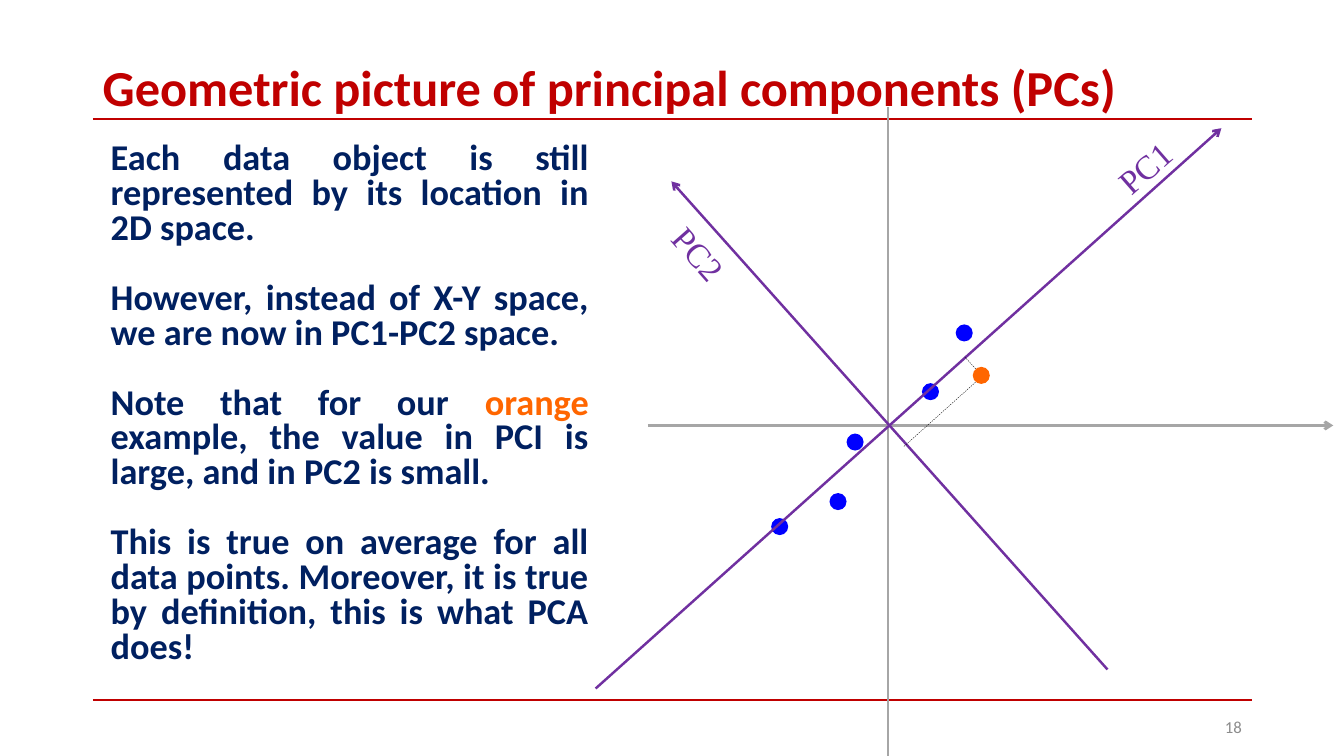
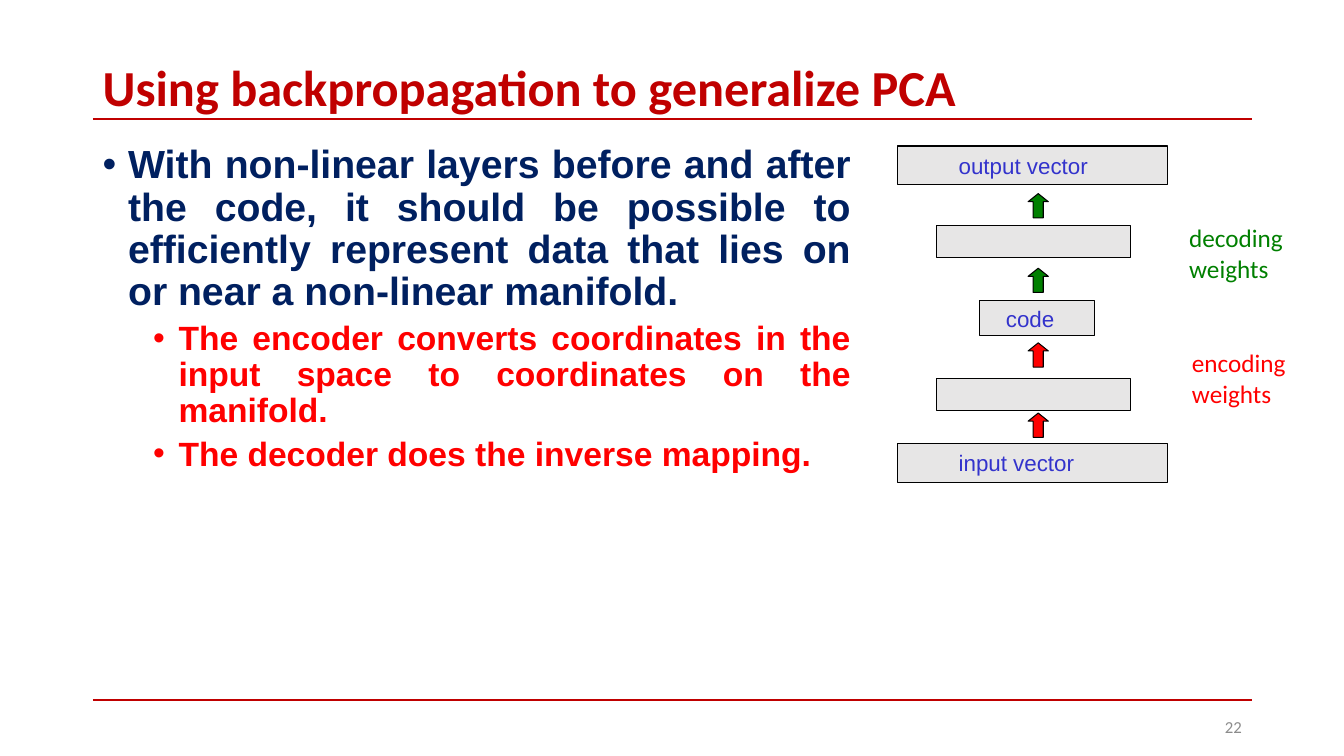
import pptx
import pptx.dml.color
import pptx.enum.dml
import pptx.enum.shapes
import pptx.enum.text
import pptx.oxml.ns
import pptx.util
from lxml import etree

Cm = pptx.util.Cm
Pt = pptx.util.Pt
Align = pptx.enum.text.PP_ALIGN
Anchor = pptx.enum.text.MSO_ANCHOR
Shape = pptx.enum.shapes.MSO_SHAPE
qn = pptx.oxml.ns.qn

RED, NAVY, ORANGE, PURPLE = "C00000", "002060", "FF6600", "7030A0"
GREY, BLUE, BLACK, LAYER_FILL = "A6A6A6", "0000FF", "000000", "E7E6E6"
LABEL, ENCODING, DECODING, NUMBER = "3333CC", "FF0000", "008000", "8C8C8C"
LEFT, RIGHT = 2.34, 31.55
DOT_SIZE = 0.43


def rgb(value):
    return pptx.dml.color.RGBColor.from_string(value)


def add_line(page, start, end, color, width, arrow=False, dashed=False):
    line = page.shapes.add_connector(
        pptx.enum.shapes.MSO_CONNECTOR.STRAIGHT,
        *(Cm(length) for length in (*start, *end)))
    line.line.color.rgb = rgb(color)
    line.line.width = Pt(width)
    if dashed:
        line.line.dash_style = pptx.enum.dml.MSO_LINE.DASH
    properties = line._element.spPr
    if arrow:
        etree.SubElement(properties.find(qn("a:ln")), qn("a:tailEnd"), type="arrow")
    etree.SubElement(properties, qn("a:effectLst"))


def add_figure(page, kind, area, fill, outline=None):
    figure = page.shapes.add_shape(kind, *(Cm(length) for length in area))
    figure.shadow.inherit = False
    figure.fill.solid()
    figure.fill.fore_color.rgb = rgb(fill)
    if outline:
        figure.line.color.rgb = rgb(outline)
        figure.line.width = Pt(0.75)
    else:
        figure.line.fill.background()
    return figure


def add_dot(page, center, color):
    left, top = (middle - DOT_SIZE / 2 for middle in center)
    add_figure(page, Shape.OVAL, (left, top, DOT_SIZE, DOT_SIZE), color)


def add_box(page, area, anchor=Anchor.TOP, wrap=True):
    box = page.shapes.add_textbox(*(Cm(length) for length in area))
    box.text_frame.word_wrap = wrap
    box.text_frame.vertical_anchor = anchor
    return box


def next_paragraph(frame):
    """Return the empty first paragraph, or a new one once that is used."""
    first = frame.paragraphs[0]
    return frame.add_paragraph() if first.runs else first


def add_span(para, text, size, color, font="Calibri", bold=False):
    span = para.add_run()
    span.text = text
    span.font.name = font
    span.font.size = Pt(size)
    span.font.bold = bold
    span.font.color.rgb = rgb(color)


def add_label(page, area, text, size, color, font="Calibri", align=Align.LEFT,
              anchor=Anchor.TOP, wrap=True, rotation=0):
    box = add_box(page, area, anchor, wrap)
    box.rotation = rotation
    para = box.text_frame.paragraphs[0]
    para.alignment = align
    add_span(para, text, size, color, font)


def add_bullet(frame, level, text, size, color, before):
    para = next_paragraph(frame)
    para.level = level
    properties = para._p.get_or_add_pPr()
    properties.set("marL", str(Cm(0.64 + 1.27 * level)))
    properties.set("indent", str(-Cm(0.64)))
    etree.SubElement(properties, qn("a:buFont"), typeface="Arial")
    etree.SubElement(properties, qn("a:buChar"), char="•")
    para.alignment = Align.JUSTIFY
    para.line_spacing = 0.9
    para.space_before = Pt(before)
    add_span(para, text, size, color, "Arial", bold=True)


def add_page(deck, title, number):
    """Add a blank page with the shared rules, title and page number."""
    page = deck.slides.add_slide(deck.slide_layouts[6])
    for height in (3, 17.65):
        add_line(page, (LEFT, height), (RIGHT, height), RED, 1.5)
    box = add_box(page, (LEFT, 1.55, RIGHT - LEFT, 1.47), Anchor.MIDDLE)
    para = box.text_frame.paragraphs[0]
    para.line_spacing = 0.9
    add_span(para, title, 36, RED, bold=True)
    add_label(page, (RIGHT - 7.62, 17.81, 7.62, 1.02), number, 12, NUMBER,
              align=Align.RIGHT, anchor=Anchor.MIDDLE)
    return page


def add_component_plot(page):
    add_line(page, (22.38, 19.05), (22.38, 2.7), GREY, 0)
    add_line(page, (16.33, 10.72), (33.6, 10.72), GREY, 0, arrow=True)
    for center in ((23.45, 9.87), (21.55, 11.14), (21.12, 12.64),
                   (19.65, 13.27), (24.3, 8.39)):
        add_dot(page, center, BLUE)
    components = (
        ("PC2", (27.91, 16.87), (16.92, 4.57), (16.61, 5.74), 48.7),
        ("PC1", (15.01, 17.35), (30.78, 3.23), (27.86, 3.58), 318.9),
    )
    for name, start, end, corner, rotation in components:
        add_line(page, start, end, PURPLE, 1.75, arrow=True)
        add_label(page, (*corner, 1.98, 1.3), name, 24, PURPLE, "Times New Roman",
                  Align.CENTER, wrap=False, rotation=rotation)
    for start, end in (((24.31, 8.99), (24.87, 9.6)), ((24.82, 9.42), (22.78, 11.25))):
        add_line(page, start, end, BLACK, 0.25, dashed=True)
    add_dot(page, (24.73, 9.46), ORANGE)


def add_geometry_page(deck):
    page = add_page(deck, "Geometric picture of principal components (PCs)", "18")
    add_component_plot(page)
    paragraphs = (
        [("Each data object is still represented by its location in 2D space.", NAVY)],
        [("However, instead of X-Y space, we are now in PC1-PC2 space.", NAVY)],
        [("Note that for our ", NAVY), ("orange", ORANGE),
         (" example, the value in PCI is large, and in PC2 is small.", NAVY)],
        [("This is true on average for all data points. Moreover, it is true "
          "by definition, this is what PCA does!", NAVY)],
    )
    frame = add_box(page, (2.54, 3.48, 12.55, 13.64)).text_frame
    for index, spans in enumerate(paragraphs):
        para = next_paragraph(frame)
        para.alignment = Align.JUSTIFY
        para.line_spacing = 0.8
        para.space_before = Pt(25 if index else 0)
        for text, color in spans:
            add_span(para, text, 25.9, color, bold=True)


def add_layer(page, area, text, inset):
    layer = add_figure(page, Shape.RECTANGLE, area, LAYER_FILL, BLACK)
    if text:
        frame = layer.text_frame
        frame.margin_left = Cm(inset)
        frame.margin_right = frame.margin_top = frame.margin_bottom = 0
        frame.vertical_anchor = Anchor.MIDDLE
        para = frame.paragraphs[0]
        para.alignment = Align.LEFT
        add_span(para, text, 16, LABEL, "Arial")


def add_autoencoder(page):
    layers = (
        ((22.61, 3.68, 6.81, 0.97), "output vector", 1.55),
        ((23.6, 5.69, 4.9, 0.81), "", 0),
        ((24.69, 7.57, 2.9, 0.89), "code", 0.66),
        ((23.6, 9.53, 4.9, 0.81), "", 0),
        ((22.61, 11.18, 6.81, 0.97), "input vector", 1.55),
    )
    for area, text, inset in layers:
        add_layer(page, area, text, inset)
    for top, color in ((4.88, DECODING), (6.76, DECODING),
                       (8.64, ENCODING), (10.41, ENCODING)):
        arrow = add_figure(page, Shape.UP_ARROW, (25.91, top, 0.51, 0.61), color, BLACK)
        arrow.adjustments[1] = 0.4
    add_label(page, (29.72, 5.49, 3.5, 1.8), "decoding weights", 18, DECODING)
    add_label(page, (29.79, 8.64, 3.5, 1.8), "encoding weights", 18, ENCODING)


def add_backpropagation_page(deck):
    page = add_page(deck, "Using backpropagation to generalize PCA", "22")
    frame = add_box(page, (LEFT, 3.53, 19.35, 13.64)).text_frame
    add_bullet(frame, 0, "With non-linear layers before and after the code, it should "
               "be possible to efficiently represent data that lies on or near a "
               "non-linear manifold.", 28, NAVY, 0)
    for text in ("The encoder converts coordinates in the input space to "
                 "coordinates on the manifold.",
                 "The decoder does the inverse mapping."):
        add_bullet(frame, 1, text, 24, ENCODING, 5)
    add_autoencoder(page)


def main():
    deck = pptx.Presentation()
    deck.slide_width = Cm(33.87)
    deck.slide_height = Cm(19.05)
    add_geometry_page(deck)
    add_backpropagation_page(deck)
    deck.save("out.pptx")


if __name__ == "__main__":
    main()
